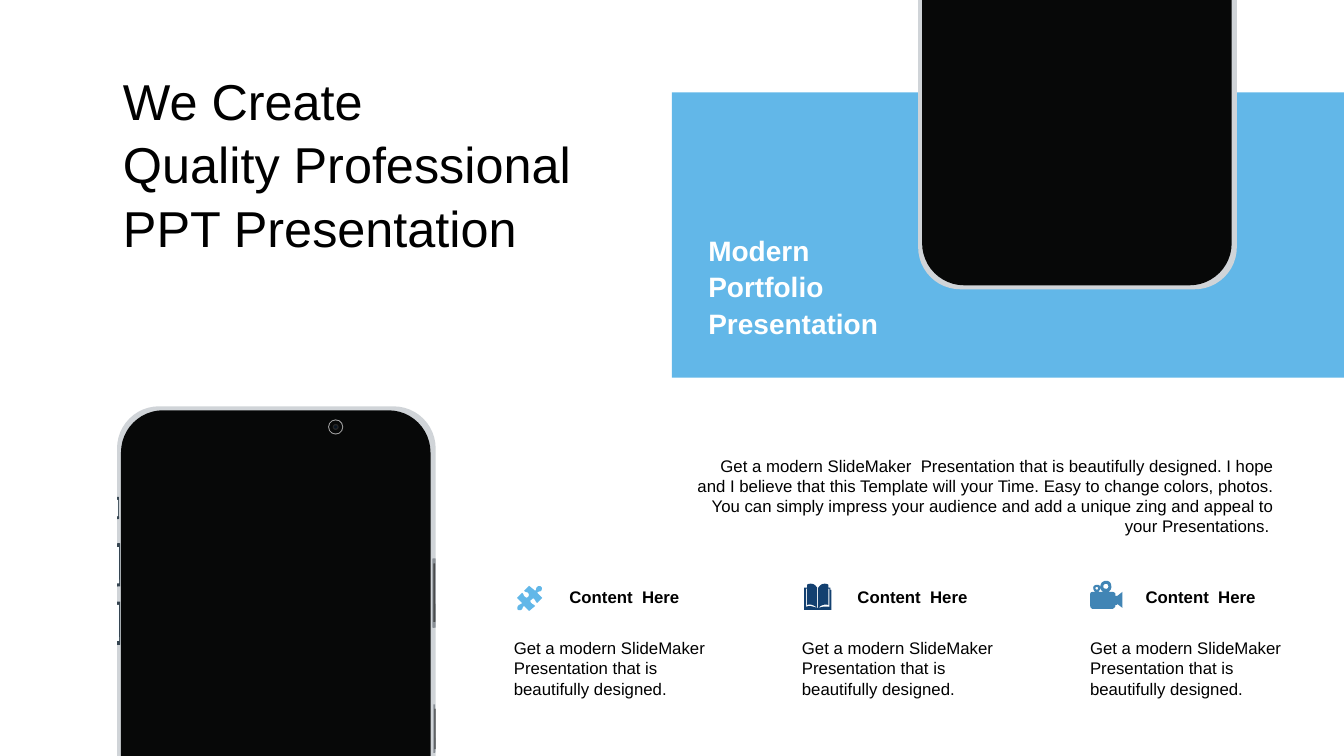
"""Build a portfolio slide with two phone mockups and three content columns."""
from dataclasses import dataclass

from pptx import Presentation
from pptx.dml.color import RGBColor
from pptx.enum.shapes import MSO_SHAPE as Shape
from pptx.enum.text import MSO_ANCHOR as Anchor, MSO_AUTO_SIZE as AutoSize, PP_ALIGN as Align
from pptx.util import Cm, Pt


@dataclass(frozen=True)
class Theme:
    font: str = "Arial"
    white: str = "FFFFFF"
    ink: str = "000000"
    sky: str = "62B7E8"
    navy: str = "134070"
    steel: str = "4185B5"
    frame: str = "D0D4D8"
    screen: str = "070808"
    slate: str = "364551"
    glint: str = "FAFDFF"
    key: str = "8A9096"
    key_face: str = "4A4C4D"
    lens_ring: str = "A6A6A6"
    lens_inner: str = "262626"
    lens_core: str = "081422"
    title_size: int = 36
    subtitle_size: int = 20
    body_size: int = 12


THEME = Theme()

TITLE = "We Create\nQuality Professional\nPPT Presentation"
SUBTITLE = "Modern Portfolio Presentation"
INTRO = ("Get a modern SlideMaker  Presentation that is beautifully designed. "
         "I hope and I believe that this Template will your Time. Easy to change colors, photos. "
         "You can simply impress your audience and add a unique zing and appeal to your Presentations. ")
COLUMN_LABEL = "Content  Here"
COLUMN_BODY = "Get a modern SlideMaker  Presentation that is beautifully designed."

PUZZLE = """M 37 16 C 38 17 38 18 37 20 C 36 21 34 20 33 22 L 38 27 L 33 32
C 31 31 32 30 30 28 C 29 27 28 28 27 29 C 26 29 26 31 27 32 C 29 34 29 33 31 35
L 25 40 L 20 35 C 18 36 19 37 18 38 C 17 40 15 39 14 39 C 13 38 13 36 14 35
C 15 33 17 34 18 32 L 13 27 L 18 22 C 20 23 19 25 21 26 C 22 27 23 27 24 26
C 25 25 25 23 24 22 C 23 21 22 22 20 20 L 25 15 L 31 20 C 33 18 31 18 33 16
C 34 15 36 15 37 16"""
BOOK = """M 25 37 L 26 37 C 30 36 33 35 37 36 L 37 18 L 36 18 L 36 34
C 33 33 29 34 26 37 L 26 17 C 28 14 30 13 32 13 C 33 13 35 13 36 14
L 36 17 L 38 17 L 38 19 L 39 19 L 39 39 L 12 39 L 12 17 L 15 17 L 15 14
C 16 13 18 13 19 13 C 21 13 23 14 25 17 L 25 37 C 22 34 18 33 15 34
L 15 18 L 14 18 L 14 36 C 18 34 21 36 25 37"""
CAMERA = """M 17 16 C 16 16 15 17 15 17 C 15 18 16 19 17 19 C 17 19 18 18 18 17
C 18 17 17 16 17 16 M 26 13 C 24 13 23 14 23 16 C 23 17 24 18 26 18
C 27 18 28 17 28 16 C 28 14 27 13 26 13 M 26 10 C 29 10 31 12 31 16
C 31 18 30 20 28 21 L 32 21 C 33 21 35 22 35 23 L 35 25 L 37 25 L 42 21 L 42 37
L 37 33 C 37 33 37 34 36 34 L 35 34 L 35 35 C 35 36 33 38 32 38 L 13 38
C 11 38 10 36 10 35 L 10 23 C 10 22 11 21 13 21 L 15 21 C 14 20 13 19 13 17
C 13 15 15 14 17 14 C 19 14 20 15 20 17 C 20 19 19 20 18 21 L 23 21
C 21 20 20 18 20 16 C 20 12 23 10 26 10"""
COLUMN_ICONS = [(PUZZLE, THEME.sky), (BOOK, THEME.navy), (CAMERA, THEME.steel)]

PHONE_PARTS = [
    ((2.95, 10.24, 8.03, 8.81), THEME.frame, "top"),
    ((3.05, 10.34, 7.8, 8.71), THEME.screen, "top"),
    ((23.14, 0, 8.03, 7.29), THEME.frame, "bottom"),
    ((23.24, 0, 7.8, 7.19), THEME.screen, "bottom"),
]
SIDE_BUTTONS = [
    ((2.95, 12.52, 0.05, 0.56), THEME.slate),
    ((2.95, 12.6, 0.03, 0.41), THEME.glint),
    ((2.95, 13.69, 0.08, 1.09), THEME.slate),
    ((2.95, 13.79, 0.05, 0.91), THEME.glint),
    ((2.95, 15.16, 0.08, 1.09), THEME.slate),
    ((2.95, 15.24, 0.05, 0.91), THEME.glint),
    ((10.9, 14.07, 0.08, 1.75), THEME.key),
    ((10.92, 14.2, 0.05, 1.47), THEME.key_face),
    ((10.92, 17.75, 0.05, 1.22), THEME.key),
    ((10.95, 17.86, 0.03, 1.02), THEME.key_face),
]
LENS_CENTER = (8.46, 10.76)
LENS_RINGS = [(0.38, THEME.lens_ring), (0.33, THEME.screen),
              (0.15, THEME.lens_inner), (0.08, THEME.lens_core)]

CORNER_RADIUS = 1.06
COLUMN_LEFT, COLUMN_TOP, COLUMN_PITCH = 12.7, 14.38, 7.26
ICON_UNIT = Cm(2.54) / 100
CURVE_STEPS = 5


def paint(shape, color):
    shape.fill.solid()
    shape.fill.fore_color.rgb = RGBColor.from_string(color)
    shape.line.fill.background()
    shape.shadow.inherit = False
    return shape


def add_block(slide, kind, box, color):
    return paint(slide.shapes.add_shape(kind, *map(Cm, box)), color)


def add_text(slide, text, box, size=THEME.body_size, color=THEME.ink, bold=False,
             align=Align.LEFT, anchor=Anchor.TOP, spacing=None, insets=None, grow=True):
    frame = slide.shapes.add_textbox(*map(Cm, box)).text_frame
    frame.word_wrap = True
    frame.auto_size = AutoSize.SHAPE_TO_FIT_TEXT if grow else AutoSize.NONE
    frame.vertical_anchor = anchor
    if insets:
        frame.margin_left = frame.margin_right = Cm(insets[0])
        frame.margin_top = frame.margin_bottom = Cm(insets[1])
    frame.text = text
    for paragraph in frame.paragraphs:
        paragraph.alignment = align
        paragraph.line_spacing = spacing
        for run in paragraph.runs:
            run.font.name = THEME.font
            run.font.size = Pt(size)
            run.font.bold = bold
            run.font.color.rgb = RGBColor.from_string(color)


def curve_points(start, first, second, end):
    for step in range(1, CURVE_STEPS + 1):
        t = step / CURVE_STEPS
        weights = ((1 - t) ** 3, 3 * t * (1 - t) ** 2, 3 * t * t * (1 - t), t ** 3)
        yield tuple(sum(weight * point[axis] for weight, point in
                        zip(weights, (start, first, second, end))) for axis in (0, 1))


def icon_contours(outline):
    contours = []
    tokens = iter(outline.split())
    for command in tokens:
        points = [(int(next(tokens)), int(next(tokens)))
                  for _ in range(3 if command == "C" else 1)]
        if command == "M":
            contours.append(points)
        elif command == "L":
            contours[-1].extend(points)
        else:
            contours[-1].extend(curve_points(contours[-1][-1], *points))
    return contours


def add_icon(slide, outline, left, top, color):
    builder = None
    for contour in icon_contours(outline):
        points = [(Cm(left) + x * ICON_UNIT, Cm(top) + y * ICON_UNIT) for x, y in contour]
        if builder is None:
            builder = slide.shapes.build_freeform(*points[0], scale=1.0)
        else:
            builder.move_to(*points[0])
        builder.add_line_segments(points[1:], close=True)
    paint(builder.convert_to_shape(), color)


def add_phones(slide):
    for box, color, rounded_end in PHONE_PARTS:
        body = add_block(slide, Shape.ROUND_2_SAME_RECTANGLE, box, color)
        ratio = CORNER_RADIUS / min(box[2:])
        body.adjustments[0] = ratio if rounded_end == "top" else 0
        body.adjustments[1] = ratio if rounded_end == "bottom" else 0
    for box, color in SIDE_BUTTONS:
        add_block(slide, Shape.ROUNDED_RECTANGLE, box, color)
    for diameter, color in LENS_RINGS:
        corner = [center - diameter / 2 for center in LENS_CENTER]
        add_block(slide, Shape.OVAL, (*corner, diameter, diameter), color)


def add_columns(slide):
    for index, (outline, color) in enumerate(COLUMN_ICONS):
        left = COLUMN_LEFT + index * COLUMN_PITCH
        add_block(slide, Shape.OVAL, (left, COLUMN_TOP, 1.3, 1.3), THEME.white)
        add_icon(slide, outline, left, COLUMN_TOP, color)
        add_text(slide, COLUMN_LABEL, (left + 1.4, COLUMN_TOP + 0.28, 3.71, 0.76), bold=True)
        add_text(slide, COLUMN_BODY, (left, COLUMN_TOP + 1.57, 5.61, 1.8))


def main():
    presentation = Presentation()
    presentation.slide_width, presentation.slide_height = Cm(33.87), Cm(19.05)
    slide = presentation.slides.add_slide(presentation.slide_layouts[6])
    add_block(slide, Shape.RECTANGLE, (16.93, 2.33, 16.94, 7.19), THEME.sky)
    add_phones(slide)
    add_text(slide, INTRO, (17.32, 11.35, 15.04, 2.31), align=Align.RIGHT)
    add_columns(slide)
    add_text(slide, TITLE, (3, 1.78, 15.04, 4.62), size=THEME.title_size,
             anchor=Anchor.MIDDLE, spacing=1.05, insets=(0.1, 0))
    add_text(slide, SUBTITLE, (17.6, 5.51, 5.99, 3.35), size=THEME.subtitle_size,
             color=THEME.white, bold=True, anchor=Anchor.MIDDLE, spacing=1.1, grow=False)
    presentation.save("out.pptx")


if __name__ == "__main__":
    main()
